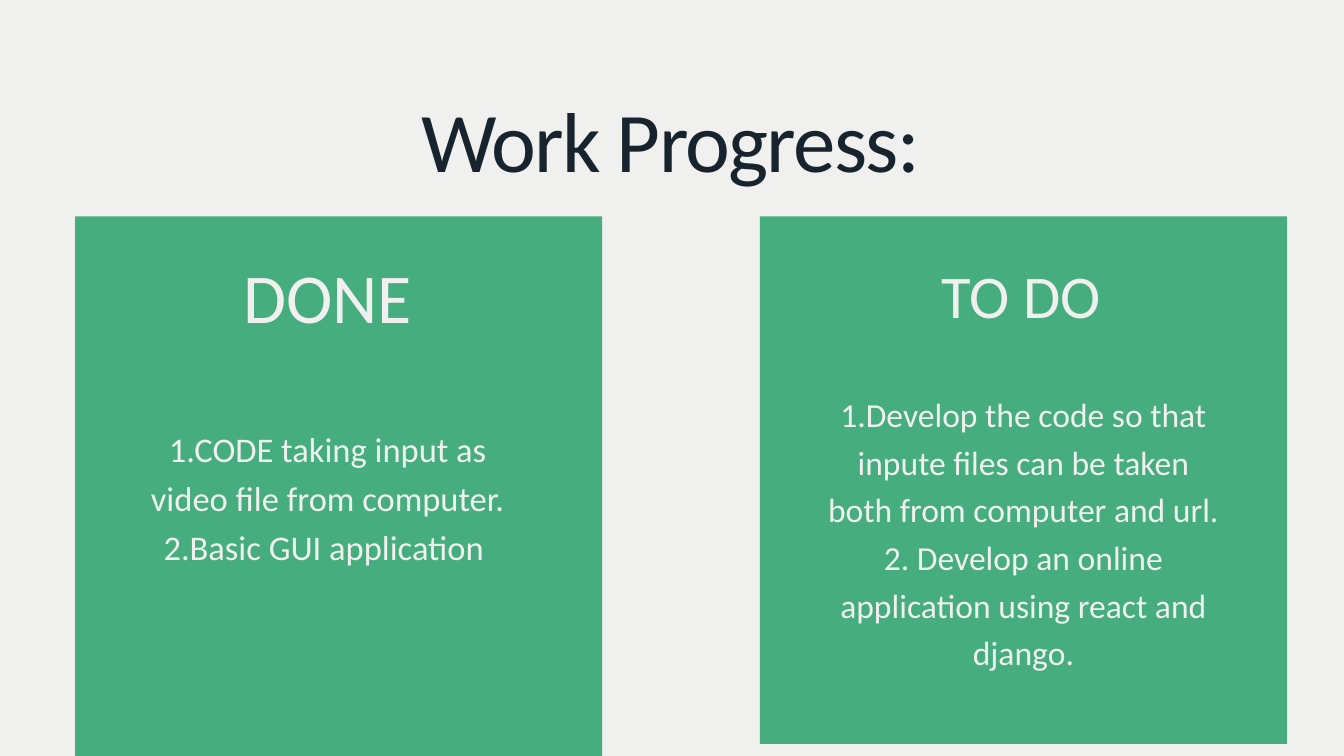
from pptx import Presentation
from pptx import util as u
from pptx.dml.color import RGBColor
from pptx.enum import shapes, text

COLORS = {"paper": "F0F0EE", "panel": "45AD7E", "ink": "17242D"}
COLUMNS, ROWS = 20, 11.25  # one grid unit is one inch


class Board:
    """Holds the style and the current slide; places are in grid columns and rows."""

    font = "Calibri"

    def __init__(self, presentation):
        self.column = presentation.slide_width / COLUMNS
        self.row = presentation.slide_height / ROWS
        self.slide = presentation.slides.add_slide(presentation.slide_layouts[6])
        self.paint(self.slide.background.fill, "paper")

    def paint(self, fill, color):
        fill.solid()
        fill.fore_color.rgb = RGBColor.from_string(COLORS[color])

    def place(self, left, top, width, height):
        return (round(left * self.column), round(top * self.row),
                round(width * self.column), round(height * self.row))

    def panel(self, *area):
        shape = self.slide.shapes.add_shape(
            shapes.MSO_SHAPE.RECTANGLE, *self.place(*area))
        shape.shadow.inherit = False
        self.paint(shape.fill, "panel")
        shape.line.fill.background()

    def label(self, area, lines, size, spacing, color="paper", tracking=None):
        frame = self.slide.shapes.add_textbox(*self.place(*area)).text_frame
        frame_format = {"word_wrap": True, "margin_left": 0, "margin_top": 0,
                        "margin_right": 0, "margin_bottom": 0}
        for name, value in frame_format.items():
            setattr(frame, name, value)
        font_format = {"name": self.font, "size": u.Pt(size)}
        for number, line in enumerate(lines):
            paragraph = frame.add_paragraph() if number else frame.paragraphs[0]
            paragraph.alignment = text.PP_ALIGN.CENTER
            paragraph.line_spacing = u.Pt(spacing)
            run = paragraph.add_run()
            run.text = line
            for name, value in font_format.items():
                setattr(run.font, name, value)
            run.font.color.rgb = RGBColor.from_string(COLORS[color])
            if tracking:
                run.font._element.set("spc", str(round(tracking * 100)))


def main():
    presentation = Presentation()
    presentation.slide_width = u.Inches(20)
    presentation.slide_height = u.Inches(11.25)
    board = Board(presentation)

    # Finished work
    board.panel(1.12, 3.22, 7.84, 8.03)
    board.label((2, 3.71, 5.75, 1.32), ["DONE"], 75, 94.5)
    board.label((2, 6.26, 5.75, 2.14),
                ["1.CODE taking input as video file from computer.",
                 "2.Basic GUI application "], 37, 52.5)

    # Remaining work
    board.panel(11.31, 3.22, 7.84, 7.85)
    board.label((12.25, 3.79, 5.9, 1.15), ["TO DO"], 65, 81.9)
    board.label((12.28, 5.75, 5.9, 5.02),
                ["1.Develop the code so that inpute files can be taken "
                 "both from computer and url.",
                 "2. Develop an online application using react and django."],
                36, 51.1)

    # Title
    board.label((1.09, 1.31, 17.78, 1.53), ["Work Progress:"], 91, 109.2,
                color="ink", tracking=-1.8)

    presentation.save("out.pptx")


if __name__ == "__main__":
    main()
